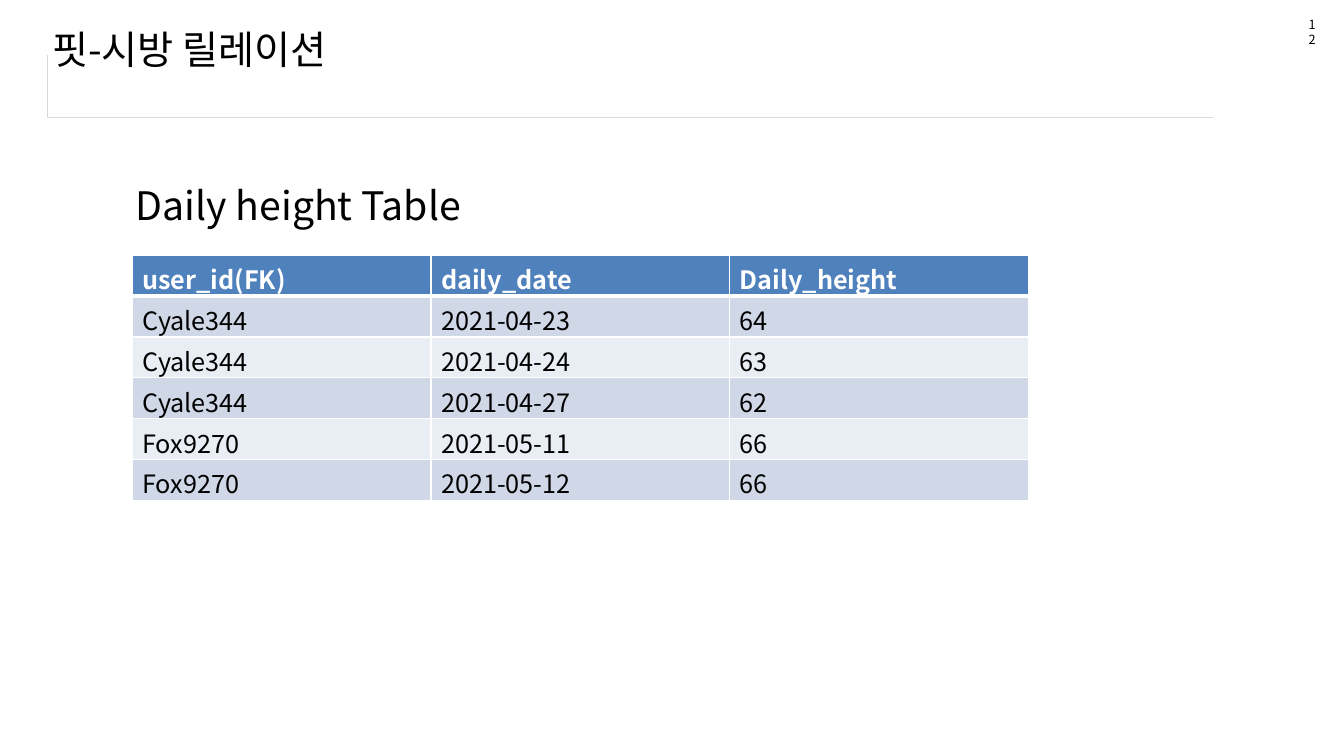
import dataclasses

import lxml.etree
import pptx
import pptx.dml.color
import pptx.enum.text
import pptx.oxml.ns
import pptx.util


@dataclasses.dataclass(frozen=True)
class Theme:
    font: str = "Noto Sans CJK KR"
    ink: str = "000000"
    paper: str = "FFFFFF"
    header: str = "4F81BD"
    bands: tuple = ("D0D8E8", "E9EDF4")
    rule: str = "D9D9D9"
    heading_size: int = 28
    body_size: int = 18
    number_size: int = 9
    frame_line: float = 0.25
    cell_line: float = 1
    header_line: float = 3


THEME = Theme()
COLUMNS, ROWS = 160, 90
UNIT = pptx.util.Inches(13.33) / COLUMNS  # one square grid step

HEADINGS = ("user_id(FK)", "daily_date", "Daily_height")
RECORDS = (
    ("Cyale344", "2021-04-23", "64"),
    ("Cyale344", "2021-04-24", "63"),
    ("Cyale344", "2021-04-27", "62"),
    ("Fox9270", "2021-05-11", "66"),
    ("Fox9270", "2021-05-12", "66"),
)


def grid(*steps):
    return [pptx.util.Emu(round(step * UNIT)) for step in steps]


def rgb(colour):
    return pptx.dml.color.RGBColor.from_string(colour)


def write(frame, wording, size, colour, bold=False):
    run = frame.paragraphs[0].add_run()
    run.text = wording
    run.font.name = THEME.font
    run.font.size = pptx.util.Pt(size)
    run.font.bold = bold
    run.font.color.rgb = rgb(colour)
    # Korean glyphs use the East Asian typeface
    east_asian = lxml.etree.Element(pptx.oxml.ns.qn("a:ea"), typeface=THEME.font)
    run.font._element.find(pptx.oxml.ns.qn("a:latin")).addnext(east_asian)


def add_label(slide, place, wording, size, anchor):
    label = slide.shapes.add_textbox(*grid(*place)).text_frame
    label.word_wrap = True
    label.vertical_anchor = anchor
    write(label, wording, size, THEME.ink)


def set_borders(cell, colour, **widths):
    """Draw the named sides (L, R, T, B); a side left out has no line."""
    properties = cell._tc.get_or_add_tcPr()
    for position, side in enumerate("LRTB"):
        line = lxml.etree.Element(pptx.oxml.ns.qn("a:ln" + side))
        if side in widths:
            line.set("w", str(int(pptx.util.Pt(widths[side]))))
            fill = lxml.etree.SubElement(line, pptx.oxml.ns.qn("a:solidFill"))
            lxml.etree.SubElement(fill, pptx.oxml.ns.qn("a:srgbClr"), val=colour)
        else:
            lxml.etree.SubElement(line, pptx.oxml.ns.qn("a:noFill"))
        properties.insert(position, line)


def add_plain_table(slide, rows, columns, place):
    table = slide.shapes.add_table(rows, columns, *grid(*place)).table
    table.first_row = table.horz_banding = False
    return table


def add_title_frame(slide, place):
    corner = add_plain_table(slide, 1, 1, place).cell(0, 0)
    corner.fill.background()
    set_borders(corner, THEME.rule, L=THEME.frame_line, B=THEME.frame_line)


def add_record_table(slide, place):
    table = add_plain_table(slide, len(RECORDS) + 1, len(HEADINGS), place)
    for row, record in enumerate((HEADINGS, *RECORDS)):
        is_header = row == 0
        fill = THEME.header if is_header else THEME.bands[(row - 1) % 2]
        for column, entry in enumerate(record):
            cell = table.cell(row, column)
            cell.fill.solid()
            cell.fill.fore_color.rgb = rgb(fill)
            set_borders(
                cell, THEME.paper, L=THEME.cell_line, R=THEME.cell_line,
                T=THEME.header_line if row == 1 else THEME.cell_line,
                B=THEME.header_line if is_header else THEME.cell_line)
            write(cell.text_frame, entry, THEME.body_size,
                  THEME.paper if is_header else THEME.ink, bold=is_header)


def main():
    deck = pptx.Presentation()
    deck.slide_width, deck.slide_height = grid(COLUMNS, ROWS)
    slide = deck.slides.add_slide(deck.slide_layouts[6])
    anchors = pptx.enum.text.MSO_ANCHOR

    # Title band and page number
    add_title_frame(slide, (5.64, 6.5, 138.75, 7.45))
    add_label(slide, (154.6, 1.44, 3.24, 3), "12", THEME.number_size, anchors.TOP)
    add_label(slide, (5.04, 1.8, 40, 8), "핏-시방 릴레이션",
              THEME.heading_size, anchors.MIDDLE)

    # Daily records with their caption
    add_record_table(slide, (15.75, 30.4, 106.7, 29.2))
    add_label(slide, (15, 20.4, 48, 8), "Daily height Table",
              THEME.heading_size, anchors.MIDDLE)

    deck.save("out.pptx")


if __name__ == "__main__":
    main()
